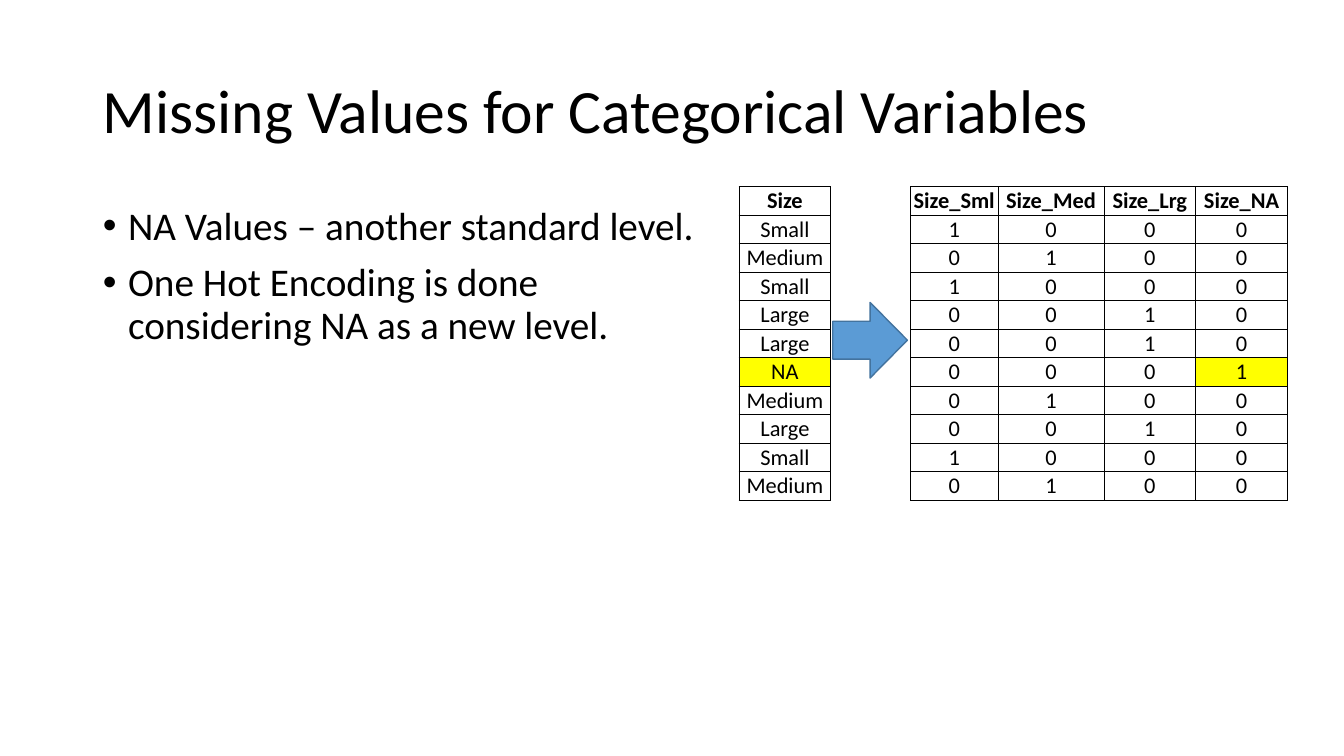
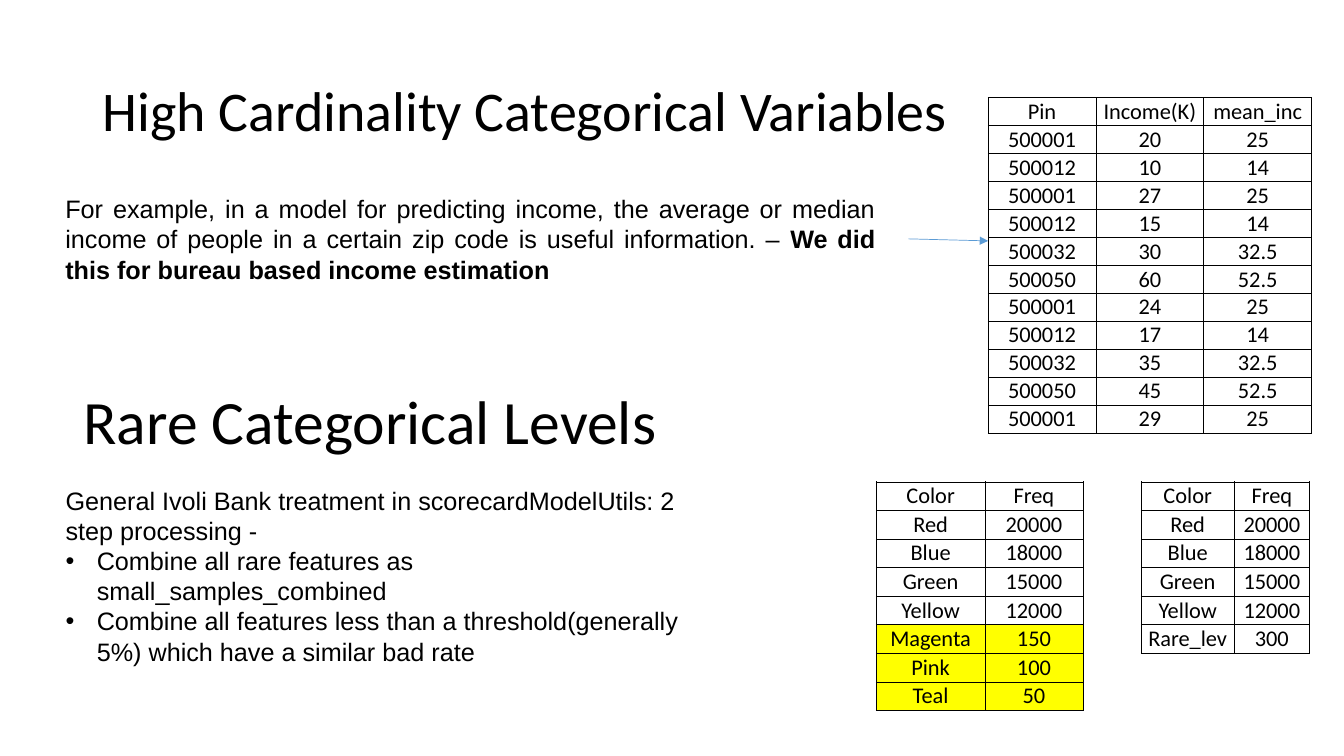
from lxml import etree
from pptx import Presentation
from pptx.dml.color import RGBColor
from pptx.enum.shapes import MSO_CONNECTOR, MSO_SHAPE
from pptx.enum.text import MSO_ANCHOR, MSO_AUTO_SIZE, PP_ALIGN
from pptx.oxml.ns import qn
from pptx.util import Inches, Pt

BLACK = RGBColor(0x00, 0x00, 0x00)
YELLOW = RGBColor(0xFF, 0xFF, 0x00)
BLUE = RGBColor(0x5B, 0x9B, 0xD5)
NAVY = RGBColor(0x43, 0x73, 0x9E)
LEFT, CENTER, JUSTIFY = PP_ALIGN.LEFT, PP_ALIGN.CENTER, PP_ALIGN.JUSTIFY
TOP, MIDDLE, BOTTOM = MSO_ANCHOR.TOP, MSO_ANCHOR.MIDDLE, MSO_ANCHOR.BOTTOM
FIXED = MSO_AUTO_SIZE.NONE
ARROW = MSO_SHAPE.RIGHT_ARROW
STRAIGHT = MSO_CONNECTOR.STRAIGHT
HEAD, BODY = "Calibri", "Arial"
TITLE = (0.92, 0.4, 11.5, 1.45)
SIDES = (("lnL", 0, -1), ("lnR", 0, 1), ("lnT", -1, 0), ("lnB", 1, 0))


def place(shape, box):
    """Move a shape to a box given in inches."""
    shape.left, shape.top, shape.width, shape.height = map(Inches, box)


def style(para, name, size, bold=False, align=LEFT):
    """Set the font and alignment of a paragraph."""
    para.alignment = align
    font = para.font
    font.name, font.size, font.bold = name, Pt(size), bold
    font.color.rgb = BLACK


def indent(para, depth):
    """Give a paragraph a hanging bullet, or none at depth zero."""
    props = para._p.get_or_add_pPr()
    props.set("marL", str(Inches(depth)))
    props.set("indent", str(-Inches(depth)))
    if depth:
        etree.SubElement(props, qn("a:buFont"), typeface="Arial")
        etree.SubElement(props, qn("a:buChar"), char="•")
    else:
        etree.SubElement(props, qn("a:buNone"))


def frame(shape, box, anchor=TOP):
    """Place a text shape and return its wrapped text frame."""
    place(shape, box)
    text = shape.text_frame
    text.word_wrap, text.auto_size = True, FIXED
    text.vertical_anchor = anchor
    return text


def add_box(slide):
    """Add an empty text box to a slide."""
    return slide.shapes.add_textbox(0, 0, 0, 0)


def set_title(shape, box, words, size=44):
    """Write a heading in the title style."""
    text = frame(shape, box, MIDDLE)
    text.text = words
    para = text.paragraphs[0]
    para.line_spacing = 0.9
    style(para, HEAD, size)


def set_list(shape, box, items, name, size, spacing, before):
    """Write a list of (words, depth) items."""
    text = frame(shape, box)
    text.text = "\n".join(words for words, _ in items)
    for para, (_, depth) in zip(text.paragraphs, items):
        indent(para, depth)
        para.line_spacing, para.space_before = spacing, Pt(before)
        style(para, name, size)


def set_edge(cell, side, shown):
    """Draw or hide one border of a cell."""
    props = cell._tc.get_or_add_tcPr()
    line = etree.SubElement(props, qn("a:" + side), w=str(Pt(0.5)))
    if shown:
        fill = etree.SubElement(line, qn("a:solidFill"))
        etree.SubElement(fill, qn("a:srgbClr"), val=str(BLACK))
    else:
        etree.SubElement(line, qn("a:noFill"))


def add_grid(slide, spot, widths, height, rows, marks=(), anchor=MIDDLE, bold=False):
    """Add a table whose empty cells stay blank and marked cells are yellow."""
    box = (*spot, sum(widths), height)
    table = slide.shapes.add_table(len(rows), len(widths), *map(Inches, box)).table
    table.first_row = table.horz_banding = False
    for col, width in zip(table.columns, widths):
        col.width = Inches(width)
    full = {(r, c) for r, row in enumerate(rows) for c, word in enumerate(row) if word}
    for r, row in enumerate(rows):
        table.rows[r].height = Inches(height / len(rows))
        for c, word in enumerate(row):
            cell = table.cell(r, c)
            cell.margin_left = cell.margin_right = Inches(0.01)
            cell.margin_top = cell.margin_bottom = 0
            cell.vertical_anchor = anchor
            cell.text = word
            style(cell.text_frame.paragraphs[0], HEAD, 16, bold and r == 0, CENTER)
            for side, down, right in SIDES:
                set_edge(cell, side, full & {(r, c), (r + down, c + right)})
            if (r, c) in marks:
                cell.fill.solid()
                cell.fill.fore_color.rgb = YELLOW
            else:
                cell.fill.background()


def add_block(slide, box):
    """Add a blue block arrow."""
    shape = slide.shapes.add_shape(ARROW, *map(Inches, box))
    shape.shadow.inherit = False
    shape.fill.solid()
    shape.fill.fore_color.rgb = BLUE
    shape.line.color.rgb, shape.line.width = NAVY, Pt(1)


def add_arrow(slide, ends):
    """Add a thin blue arrow from one point to another."""
    link = slide.shapes.add_connector(STRAIGHT, *map(Inches, ends))
    link.line.color.rgb, link.line.width = BLUE, Pt(0.5)
    etree.SubElement(link.line._get_or_add_ln(), qn("a:tailEnd"), type="triangle")
    etree.SubElement(link._element.spPr, qn("a:effectLst"))


def add_note(slide, box, plain, strong):
    """Add a justified paragraph that ends in bold."""
    para = frame(add_box(slide), box).paragraphs[0]
    style(para, BODY, 18, align=JUSTIFY)
    para.add_run().text = plain
    run = para.add_run()
    run.text, run.font.bold = strong, True


def missing(slide):
    """Build the slide on missing values."""
    set_title(slide.shapes.title, TITLE, "Missing Values for Categorical Variables")
    items = [("NA Values – another standard level.", 0.25),
             ("One Hot Encoding is done considering NA as a new level.", 0.25)]
    set_list(slide.placeholders[1], (0.92, 2, 6.07, 4.76), items, HEAD, 28, 0.9, 10)
    levels = ("Small", "Medium", "Large", "NA")
    sizes = ("Small Medium Small Large Large NA Medium Large Small Medium").split()
    rows = [("Size", "", "Size_Sml", "Size_Med", "Size_Lrg", "Size_NA")]
    rows += [(size, "", *(str(int(size == level)) for level in levels)) for size in sizes]
    add_grid(slide, (7.33, 1.85), (0.91, 0.79, 0.87, 1.05, 0.91, 0.91), 3.11, rows,
             {(6, 0), (6, 5)}, BOTTOM, True)
    add_block(slide, (8.26, 3, 0.74, 0.75))


def levels(slide):
    """Build the slide on high cardinality and rare levels."""
    set_title(slide.shapes.title, TITLE, "High Cardinality Categorical Variables", 40)
    add_note(slide, (0.55, 1.87, 8.23, 1.01),
             "For example, in a model for predicting income, the average or median income "
             "of people in a certain zip code is useful information. – ",
             "We did this for bureau based income estimation")
    means = {"500001": "25", "500012": "14", "500032": "32.5", "500050": "52.5"}
    pins = [("500001", "20"), ("500012", "10"), ("500001", "27"), ("500012", "15"),
            ("500032", "30"), ("500050", "60"), ("500001", "24"), ("500012", "17"),
            ("500032", "35"), ("500050", "45"), ("500001", "29")]
    rows = [("Pin", "Income(K)", "mean_inc")]
    rows += [(pin, pay, means[pin]) for pin, pay in pins]
    add_grid(slide, (9.8, 0.97), (1.07,) * 3, 3.33, rows)
    add_arrow(slide, (9.01, 2.37, 9.8, 2.39))

    set_title(add_box(slide), (0.73, 3.71, 8.43, 1), "Rare Categorical Levels")
    items = [("General Ivoli Bank treatment in scorecardModelUtils: 2 step processing -", 0),
             ("Combine all rare features as small_samples_combined", 0.31),
             ("Combine all features less than a threshold(generally 5%) "
              "which have a similar bad rate", 0.31)]
    set_list(slide.placeholders[1], (0.55, 4.76, 6.47, 1.92), items, BODY, 18, 1, 0)
    common = [("Color", "Freq"), ("Red", "20000"), ("Blue", "18000"),
              ("Green", "15000"), ("Yellow", "12000")]
    rare = [("Magenta", "150"), ("Pink", "100"), ("Teal", "50")]
    after = common + [("Rare_lev", "300")] + [("", "")] * 2
    rows = [(*old, "", *new) for old, new in zip(common + rare, after)]
    marks = {(r, c) for r in range(len(common), len(rows)) for c in range(2)}
    add_grid(slide, (8.69, 4.78), (1.08, 0.97, 0.58, 0.92, 0.75), 2.27, rows, marks)


def main():
    """Build and save the deck."""
    deck = Presentation()
    deck.slide_width, deck.slide_height = Inches(13.33), Inches(7.5)
    for build in (missing, levels):
        build(deck.slides.add_slide(deck.slide_layouts[1]))
    deck.save("out.pptx")


if __name__ == "__main__":
    main()
